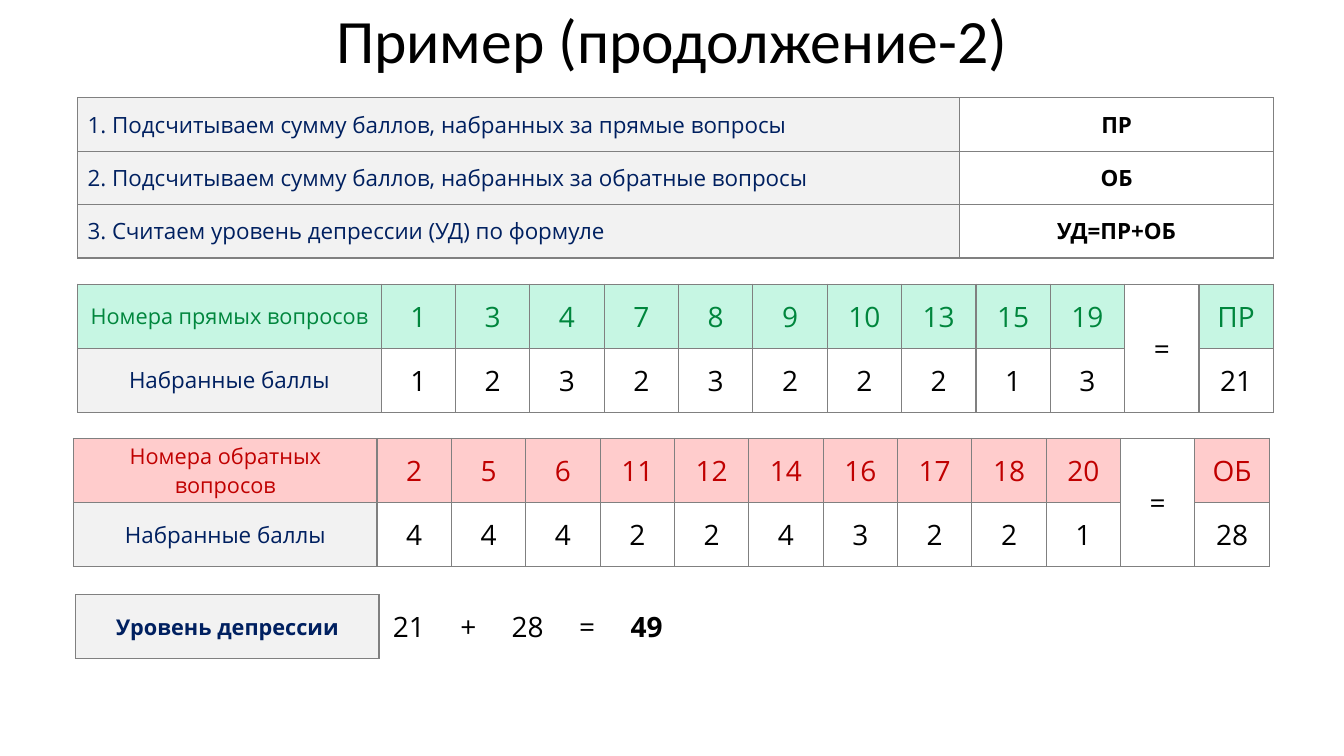
from lxml import etree
from pptx import Presentation
from pptx import util as u
from pptx.dml.color import RGBColor
from pptx.enum import text
from pptx.oxml.ns import qn

NAVY, BLACK, GRAY, PALE = "002060", "000000", "808080", "F2F2F2"
GREEN, MINT, RED, PINK = "00863D", "C6F6E3", "C00000", "FFCCCC"
MID, JUST = text.PP_ALIGN.CENTER, text.PP_ALIGN.JUSTIFY
WIDE, HEAD = 11.86, 3.01


def rgb(code):
    return RGBColor.from_string(code)


class Deck:
    font = "Open Sans"

    def __init__(self):
        self.prs = Presentation()
        self.prs.slide_width = u.Inches(13.33)
        self.prs.slide_height = u.Inches(7.5)
        self.slide = self.prs.slides.add_slide(self.prs.slide_layouts[6])

    def label(self, frame, words, size, color, bold=False, align=MID, font=None):
        para = frame.paragraphs[0]
        para.alignment = align
        run = para.add_run()
        run.text = words
        run.font.name = font or self.font
        run.font.size = u.Pt(size)
        run.font.bold = bold
        run.font.color.rgb = rgb(color)
        return para

    def title(self, words):
        box = self.slide.shapes.add_textbox(
            0, u.Inches(0.09), u.Inches(13.33), u.Inches(0.69))
        frame = box.text_frame
        frame.word_wrap = True
        frame.vertical_anchor = text.MSO_ANCHOR.MIDDLE
        para = self.label(frame, words, 44, BLACK, font="Calibri")
        para.line_spacing = 0.9

    def table(self, left, top, widths, tall, rows):
        """Add an empty table with no banding; tall is the height of a row."""
        frame = self.slide.shapes.add_table(
            rows, len(widths), u.Inches(left), u.Inches(top),
            u.Inches(sum(widths)), u.Inches(tall * rows))
        table = frame.table
        table.first_row = table.horz_banding = False
        for col, width in zip(table.columns, widths):
            col.width = u.Inches(width)
        for row in table.rows:
            row.height = u.Inches(tall)
        return table

    def edge(self, cell, sides):
        """Rule the given sides of a cell, named by the letters L, R, T, B."""
        props = cell._tc.get_or_add_tcPr()
        for side in sides:
            line = etree.SubElement(props, qn("a:ln" + side), w=str(u.Pt(1)))
            fill = etree.SubElement(line, qn("a:solidFill"))
            etree.SubElement(fill, qn("a:srgbClr"), val=GRAY)

    def cell(self, cell, words, size, color, fill=None, bold=False,
             align=MID, sides="LRTB"):
        self.edge(cell, sides)
        if fill:
            cell.fill.solid()
            cell.fill.fore_color.rgb = rgb(fill)
        else:
            cell.fill.background()
        cell.margin_top = cell.margin_bottom = 0
        cell.vertical_anchor = text.MSO_ANCHOR.MIDDLE
        if words:
            self.label(cell.text_frame, words, size, color, bold, align)

    def steps(self, left, top, pairs):
        table = self.table(left, top, [8.75, WIDE - 8.75], 0.53, len(pairs))
        for row, (step, sign) in enumerate(pairs):
            self.cell(table.cell(row, 0), step, 16, NAVY, PALE, align=JUST)
            self.cell(table.cell(row, 1), sign, 16, BLACK, bold=True)

    def score(self, left, top, name, sign, marks, color, tint):
        """Add a table of question numbers, points and their sum."""
        widths = [HEAD] + [(WIDE - HEAD) / 12] * 12
        table = self.table(left, top, widths, 0.635, 2)
        self.cell(table.cell(0, 0), name, 15.5, color, tint)
        self.cell(table.cell(1, 0), "Набранные баллы", 16, NAVY, PALE)
        for col, (number, points) in enumerate(marks.items(), 1):
            self.cell(table.cell(0, col), str(number), 20, color, tint)
            self.cell(table.cell(1, col), str(points), 20, BLACK)
        self.cell(table.cell(0, 11), "=", 20, BLACK)
        self.cell(table.cell(1, 11), "", 20, BLACK)
        table.cell(0, 11).merge(table.cell(1, 11))
        self.cell(table.cell(0, 12), sign, 20, color, tint)
        self.cell(table.cell(1, 12), str(sum(marks.values())), 20, BLACK)

    def level(self, left, top, name, terms):
        table = self.table(left, top, [HEAD] + [0.59] * len(terms), 0.635, 1)
        self.cell(table.cell(0, 0), name, 15.5, NAVY, PALE, True)
        for col, term in enumerate(terms, 1):
            self.cell(table.cell(0, col), term, 20, BLACK,
                      bold=col == len(terms), sides="L" if col == 1 else "")


def main():
    direct = {1: 1, 3: 2, 4: 3, 7: 2, 8: 3, 9: 2, 10: 2, 13: 2, 15: 1, 19: 3}
    inverse = {2: 4, 5: 4, 6: 4, 11: 2, 12: 2, 14: 4, 16: 3, 17: 2, 18: 2, 20: 1}
    deck = Deck()
    deck.title("Пример (продолжение-2)")
    deck.score(0.77, 2.82, "Номера прямых вопросов", "ПР", direct, GREEN, MINT)
    deck.score(0.73, 4.35, "Номера обратных вопросов", "ОБ", inverse, RED, PINK)
    deck.level(0.75, 5.9, "Уровень депрессии", ["21", "+", "28", "=", "49"])
    deck.steps(0.77, 0.97, [
        ("1. Подсчитываем сумму баллов, набранных за прямые вопросы", "ПР"),
        ("2. Подсчитываем сумму баллов, набранных за обратные вопросы", "ОБ"),
        ("3. Считаем уровень депрессии (УД) по формуле", "УД=ПР+ОБ"),
    ])
    deck.prs.save("out.pptx")


if __name__ == "__main__":
    main()
